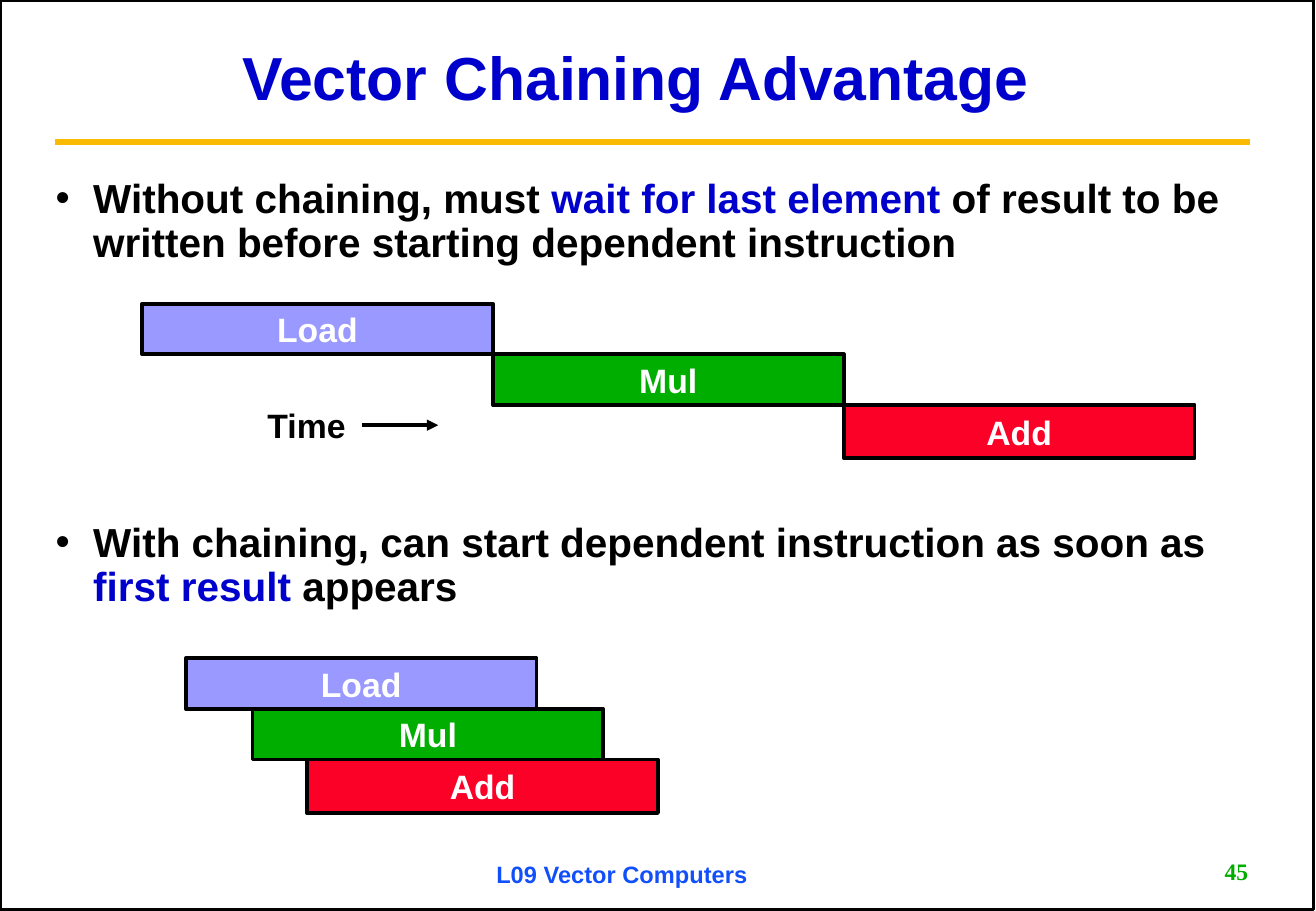
from dataclasses import dataclass

from lxml import etree
from pptx import Presentation
from pptx.dml.color import RGBColor
from pptx.enum.shapes import MSO_CONNECTOR, MSO_SHAPE
from pptx.enum.text import MSO_ANCHOR, PP_ALIGN
from pptx.oxml.ns import qn
from pptx.shapes.connector import Connector
from pptx.slide import Slide
from pptx.text.text import TextFrame, _Paragraph
from pptx.util import Inches, Length, Pt

RECT, STRAIGHT = MSO_SHAPE.RECTANGLE, MSO_CONNECTOR.STRAIGHT
TOP, MIDDLE = MSO_ANCHOR.TOP, MSO_ANCHOR.MIDDLE
LEFT, CENTER, RIGHT = PP_ALIGN.LEFT, PP_ALIGN.CENTER, PP_ALIGN.RIGHT

BLACK = RGBColor(0x00, 0x00, 0x00)
WHITE = RGBColor(0xFF, 0xFF, 0xFF)
BLUE = RGBColor(0x00, 0x00, 0xCC)
FOOTER_BLUE = RGBColor(0x11, 0x4F, 0xFB)
GOLD = RGBColor(0xFB, 0xBA, 0x03)
LILAC = RGBColor(0x99, 0x99, 0xFF)
GREEN = RGBColor(0x00, 0xAE, 0x00)
RED = RGBColor(0xFC, 0x01, 0x28)

COLUMNS, ROWS, CELL = 108.4, 75, 0.1
BAR_COLUMNS, BAR_ROWS = 28.9, 4.17


@dataclass(frozen=True)
class Box:
    col: float
    row: float
    cols: float
    rows: float

    def place(self) -> tuple[Length, ...]:
        return tuple(map(cells, (self.col, self.row, self.cols, self.rows)))


@dataclass(frozen=True)
class Span:
    text: str
    color: RGBColor = BLACK


@dataclass(frozen=True)
class Label:
    box: Box
    spans: tuple[Span, ...]
    size: float
    align: PP_ALIGN = LEFT
    anchor: MSO_ANCHOR = MIDDLE
    spacing: float = 1.0
    font: str = "Arial"
    wrap: bool = True
    bullet: bool = False


@dataclass(frozen=True)
class Stage:
    name: str
    fill: RGBColor
    rows: float = BAR_ROWS


@dataclass(frozen=True)
class Timeline:
    col: float
    row: float
    delays: tuple[float, ...]


STAGES = (Stage("Load", LILAC), Stage("Mul", GREEN), Stage("Add", RED, 4.4))
TIMELINES = (
    Timeline(11.7, 25, (0, BAR_COLUMNS, 2 * BAR_COLUMNS)),
    Timeline(15.3, 54.2, (0, 5.5, 10)),
)
LABELS = (
    Label(Box(9.9, 1.7, 84.9, 10), (Span("Vector Chaining Advantage", BLUE),),
          36, CENTER, spacing=0.9),
    Label(Box(3.6, 14.2, 101.1, 8.2),
          (Span("Without chaining, must "),
           Span("wait for last element", BLUE),
           Span(" of result to be written before starting dependent instruction")),
          24, spacing=0.9, bullet=True),
    Label(Box(3.6, 42.5, 101.1, 8.2),
          (Span("With chaining, can start dependent instruction as soon as "),
           Span("first result", BLUE),
           Span(" appears")),
          24, spacing=0.9, bullet=True),
    Label(Box(21, 32.8, 8.5, 4.4), (Span("Time"),), 20, CENTER, wrap=False),
    Label(Box(39.9, 70.3, 31.7, 3.1), (Span("L09 Vector Computers", FOOTER_BLUE),),
          14, anchor=TOP),
    Label(Box(83, 70.1, 20.8, 3.2), (Span("45", GREEN),), 14, RIGHT,
          font="Times New Roman"),
)


def cells(count: float) -> Length:
    return Inches(count * CELL)


def add_bullet(p: _Paragraph) -> None:
    props = p._p.get_or_add_pPr()
    props.set("marL", str(cells(3.1)))
    props.set("indent", str(-cells(3.1)))
    color = etree.SubElement(props, qn("a:buClr"))
    etree.SubElement(color, qn("a:srgbClr"), val=str(BLACK))
    etree.SubElement(props, qn("a:buFont"), typeface="Arial")
    etree.SubElement(props, qn("a:buChar"), char="•")


def write(tf: TextFrame, label: Label) -> None:
    tf.word_wrap = label.wrap
    tf.vertical_anchor = label.anchor
    p = tf.paragraphs[0]
    if label.bullet:
        add_bullet(p)
    p.alignment = label.align
    p.line_spacing = label.spacing
    for span in label.spans:
        r = p.add_run()
        r.text = span.text
        r.font.name = label.font
        r.font.size = Pt(label.size)
        r.font.bold = True
        r.font.color.rgb = span.color


def add_label(s: Slide, label: Label) -> None:
    write(s.shapes.add_textbox(*label.box.place()).text_frame, label)


def add_frame(s: Slide) -> None:
    sp = s.shapes.add_shape(RECT, *Box(0, 0, COLUMNS - 0.2, ROWS - 0.1).place())
    sp.shadow.inherit = False
    sp.fill.background()
    sp.line.color.rgb = BLACK
    sp.line.width = Pt(2)


def add_bar(s: Slide, stage: Stage, col: float, row: float) -> None:
    box = Box(col, row, BAR_COLUMNS, stage.rows)
    sp = s.shapes.add_shape(RECT, *box.place())
    sp.shadow.inherit = False
    sp.fill.solid()
    sp.fill.fore_color.rgb = stage.fill
    sp.line.color.rgb = BLACK
    sp.line.width = Pt(2.25)
    write(sp.text_frame, Label(box, (Span(stage.name, WHITE),), 20, CENTER))


def add_timeline(s: Slide, timeline: Timeline) -> None:
    for step, (stage, delay) in enumerate(zip(STAGES, timeline.delays)):
        add_bar(s, stage, timeline.col + delay, timeline.row + step * BAR_ROWS)


def add_rule(s: Slide, start: float, end: float, row: float,
             color: RGBColor, width: float) -> Connector:
    rule = s.shapes.add_connector(
        STRAIGHT, cells(start), cells(row), cells(end), cells(row))
    rule.line.color.rgb = color
    rule.line.width = Pt(width)
    etree.SubElement(rule._element.spPr, qn("a:effectLst"))
    return rule


def add_arrowhead(rule: Connector) -> None:
    etree.SubElement(rule.line._get_or_add_ln(), qn("a:tailEnd"), type="triangle")


def main() -> None:
    prs = Presentation()
    prs.slide_width, prs.slide_height = cells(COLUMNS), cells(ROWS)
    s = prs.slides.add_slide(prs.slide_layouts[6])
    add_frame(s)
    add_rule(s, 4.5, 103, 11.7, GOLD, 3.75)
    for timeline in TIMELINES:
        add_timeline(s, timeline)
    add_arrowhead(add_rule(s, 29.8, 36.1, 35, BLACK, 2.25))
    for label in LABELS:
        add_label(s, label)
    prs.save("out.pptx")


if __name__ == "__main__":
    main()
